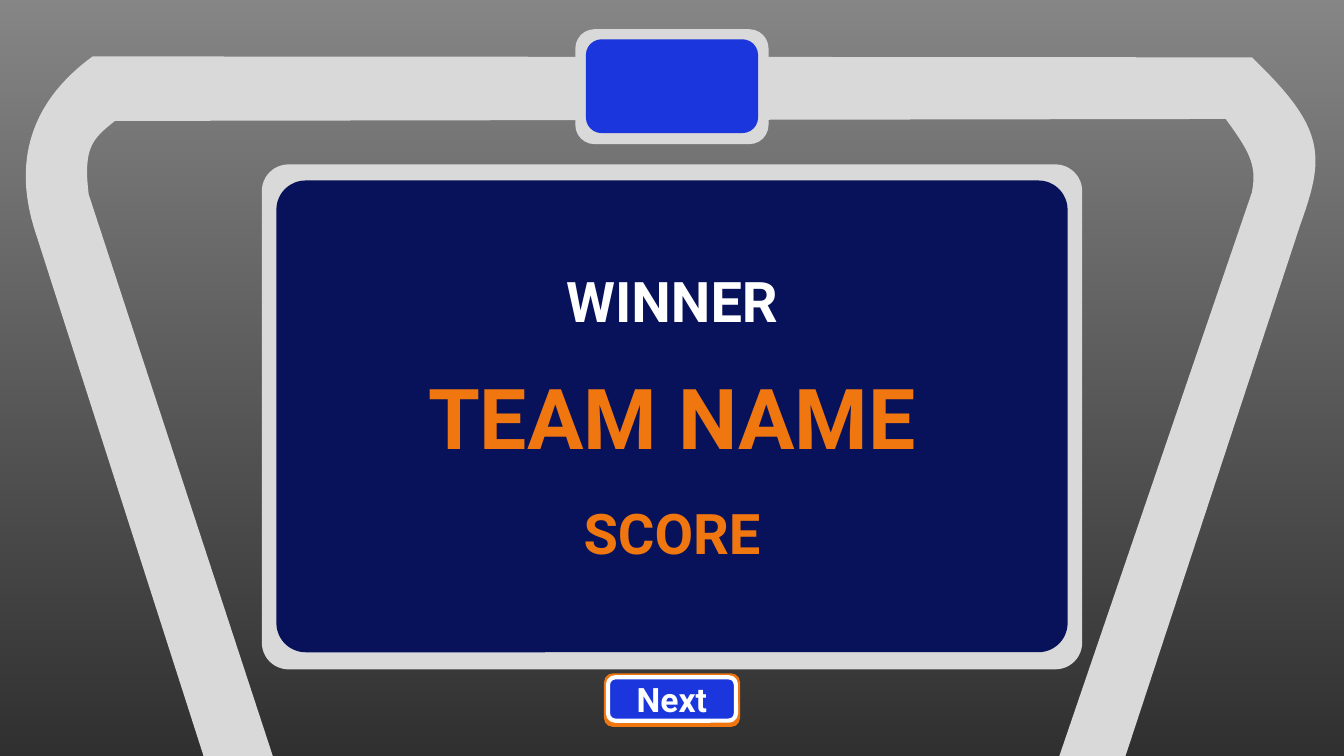
from dataclasses import dataclass
from typing import Any, Optional, Union

from lxml import etree
from pptx import Presentation
from pptx.dml import color
from pptx.enum import shapes, text
from pptx.oxml import ns
from pptx.util import Pt

Point = tuple[float, float]


@dataclass(frozen=True)
class Theme:
    font: str = "Roboto"
    white: str = "FFFFFF"
    black: str = "000000"
    silver: str = "D9D9D9"
    navy: str = "07125B"
    blue: str = "1A36DC"
    orange: str = "F07610"
    yellow: str = "FFFE53"
    button_size: float = 24
    label_size: float = 40
    team_size: float = 60


@dataclass(frozen=True)
class Panel:
    top: float
    width: float
    height: float
    fill: str
    radius: float = 0.1667
    outline: Optional[str] = None


@dataclass(frozen=True)
class Label:
    wording: str
    top: float
    height: float
    size: float
    glowing: bool = False


@dataclass(frozen=True)
class Curve:
    control_1: Point
    control_2: Point
    end: Point


THEME = Theme()
SLIDE_WIDTH, SLIDE_HEIGHT = 960, 540
LABEL_WIDTH = 443.5
CURVE_STEPS = 24

PANELS = [
    Panel(117.4, 586, 360.7, THEME.silver, 0.053),
    Panel(128.9, 565.2, 337, THEME.navy, 0.062),
    Panel(20.9, 138, 82.1, THEME.silver),
    Panel(28.1, 123, 67, THEME.blue),
    Panel(481, 97.2, 38.2, THEME.orange),
]
BUTTON = Panel(483.8, 91.4, 31, THEME.blue, outline=THEME.white)

TITLE = Label("WINNER", 186.5, 55.4, THEME.label_size)
LABELS = [
    Label("TEAM NAME", 257.8, 79.9, THEME.team_size, True),
    Label("SCORE", 352.8, 55.4, THEME.label_size, True),
]

FRAME_START: Point = (66.2, 40.3)
FRAME: list[Union[Point, Curve]] = [
    (894.2, 41),
    Curve((946.8, 91.4), (946.8, 110.9), (928.8, 160.6)),
    (803.5, 541.4),
    (756.7, 540),
    (894.2, 137.5),
    Curve((897.8, 118.8), (893.5, 109.4), (875.5, 85)),
    (82.1, 86.4),
    Curve((67, 98.6), (59, 104.4), (63.4, 139)),
    (195.1, 540.7),
    (145.4, 540),
    (26.6, 169.9),
    Curve((5.8, 110.9), (26.6, 69.1), FRAME_START),
]


def rgb(value: str) -> color.RGBColor:
    return color.RGBColor.from_string(value)


def apply_format(target: Any, values: dict[str, Any]) -> None:
    for name, value in values.items():
        setattr(target, name, value)


def paint(shape: Any, fill: str) -> None:
    shape.shadow.inherit = False
    shape.fill.solid()
    shape.fill.fore_color.rgb = rgb(fill)
    shape.line.fill.background()


def paint_gradient(fill: Any, stops: list[tuple[float, str]]) -> None:
    fill.gradient()
    fill.gradient_angle = 270
    for stop, (position, value) in zip(fill.gradient_stops, stops):
        stop.position = position
        stop.color.rgb = rgb(value)


def add_backdrop(slide: Any) -> None:
    backdrop = slide.shapes.add_shape(
        shapes.MSO_SHAPE.RECTANGLE, 0, 0, Pt(SLIDE_WIDTH), Pt(SLIDE_HEIGHT)
    )
    paint(backdrop, THEME.black)
    paint_gradient(backdrop.fill, [(0, THEME.black), (1, THEME.black)])
    tints = backdrop._element.spPr.iter(ns.qn("a:srgbClr"))
    for tint, opacity in zip(tints, (48, 82)):
        etree.SubElement(tint, ns.qn("a:alpha"), val=str(opacity * 1000))


def add_panel(slide: Any, panel: Panel) -> Any:
    left = (SLIDE_WIDTH - panel.width) / 2
    shape = slide.shapes.add_shape(
        shapes.MSO_SHAPE.ROUNDED_RECTANGLE,
        Pt(left), Pt(panel.top), Pt(panel.width), Pt(panel.height),
    )
    shape.adjustments[0] = panel.radius
    paint(shape, panel.fill)
    if panel.outline:
        shape.line.color.rgb = rgb(panel.outline)
        shape.line.width = Pt(3)
    return shape


def curve_points(start: Point, curve: Curve) -> list[Point]:
    corners = (start, curve.control_1, curve.control_2, curve.end)
    points = []
    for step in range(1, CURVE_STEPS + 1):
        t = step / CURVE_STEPS
        weights = ((1 - t) ** 3, 3 * t * (1 - t) ** 2, 3 * t**2 * (1 - t), t**3)
        x, y = (sum(w * c[axis] for w, c in zip(weights, corners)) for axis in (0, 1))
        points.append((x, y))
    return points


def add_frame(slide: Any) -> None:
    outline = [FRAME_START]
    for part in FRAME:
        if isinstance(part, Curve):
            outline.extend(curve_points(outline[-1], part))
        else:
            outline.append(part)
    corners = [(Pt(x), Pt(y)) for x, y in outline]
    builder = slide.shapes.build_freeform(*corners[0])
    builder.add_line_segments(corners[1:], close=True)
    paint(builder.convert_to_shape(), THEME.silver)


def write(shape: Any, wording: str, size: float, anchor: Any, glowing: bool = False) -> None:
    frame = shape.text_frame
    apply_format(frame, {
        "word_wrap": True,
        "vertical_anchor": anchor,
        "auto_size": text.MSO_AUTO_SIZE.NONE,
    })
    paragraph = frame.paragraphs[0]
    paragraph.alignment = text.PP_ALIGN.CENTER
    run = paragraph.add_run()
    run.text = wording
    apply_format(run.font, {"name": THEME.font, "size": Pt(size), "bold": True})
    if glowing:
        paint_gradient(run.font.fill, [(0.1, THEME.orange), (1, THEME.yellow)])
    else:
        run.font.color.rgb = rgb(THEME.white)


def place_label(shape: Any, label: Label) -> None:
    apply_format(shape, {
        "left": Pt((SLIDE_WIDTH - LABEL_WIDTH) / 2),
        "top": Pt(label.top),
        "width": Pt(LABEL_WIDTH),
        "height": Pt(label.height),
    })
    write(shape, label.wording, label.size, text.MSO_ANCHOR.TOP, label.glowing)


def main() -> None:
    presentation = Presentation()
    apply_format(presentation, {
        "slide_width": Pt(SLIDE_WIDTH), "slide_height": Pt(SLIDE_HEIGHT),
    })
    slide = presentation.slides.add_slide(presentation.slide_layouts[5])
    add_backdrop(slide)
    for panel in PANELS[:2]:
        add_panel(slide, panel)
    add_frame(slide)
    for panel in PANELS[2:]:
        add_panel(slide, panel)
    button = add_panel(slide, BUTTON)
    write(button, "Next", THEME.button_size, text.MSO_ANCHOR.MIDDLE)
    title = slide.shapes.title
    slide.shapes._spTree.append(title._element)
    place_label(title, TITLE)
    for label in LABELS:
        place_label(slide.shapes.add_textbox(0, 0, 0, 0), label)
    presentation.save("out.pptx")


if __name__ == "__main__":
    main()
